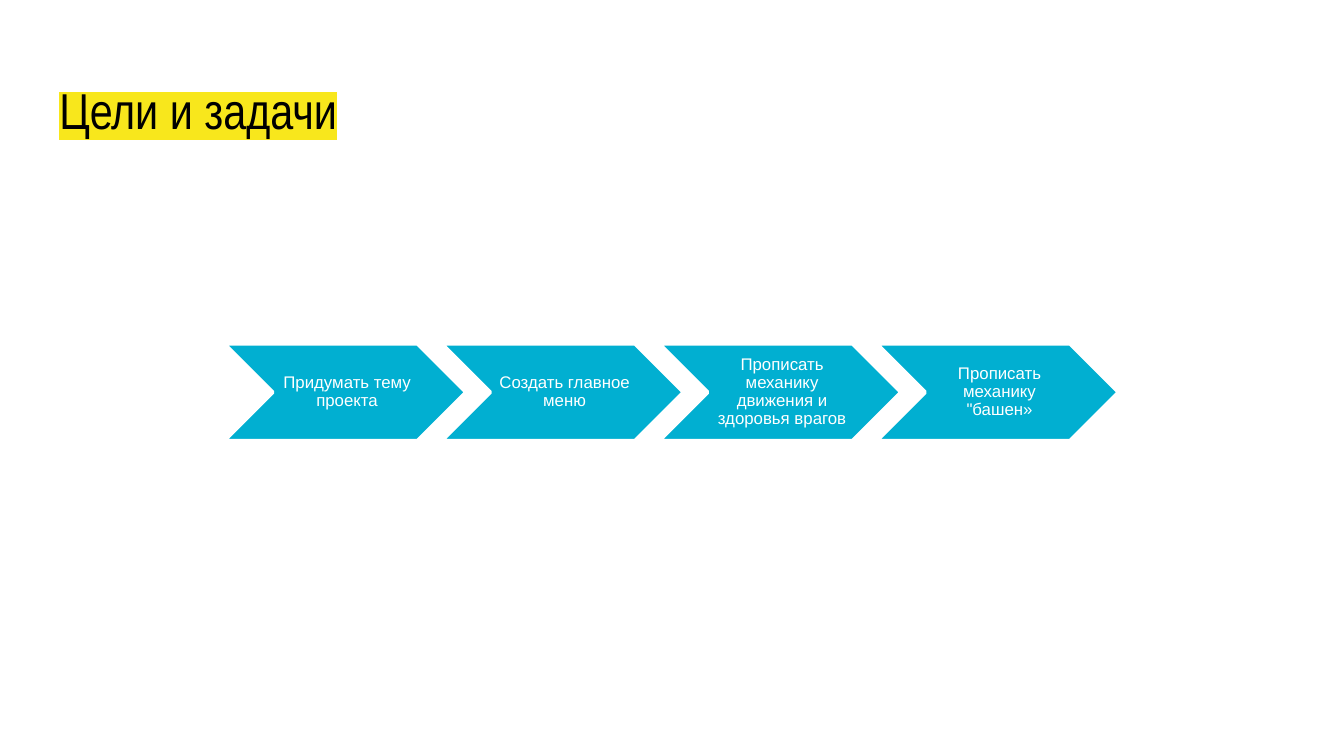
from dataclasses import dataclass

from lxml.etree import SubElement
from pptx import Presentation
from pptx.dml.color import RGBColor
from pptx.enum.shapes import MSO_SHAPE
from pptx.enum.text import MSO_ANCHOR, MSO_AUTO_SIZE, PP_ALIGN
from pptx.oxml.ns import qn
from pptx.util import Cm, Pt


@dataclass(frozen=True)
class Theme:
    black: RGBColor = RGBColor(0x00, 0x00, 0x00)
    white: RGBColor = RGBColor(0xFF, 0xFF, 0xFF)
    step_fill: RGBColor = RGBColor(0x01, 0xAF, 0xD1)
    highlight: str = "F8E71C"
    title_font: str = "Arial Narrow"
    step_font: str = "Arial"
    title_size: Pt = Pt(27)
    step_size: Pt = Pt(9)
    outline: Pt = Pt(2)


def apply_format(target, values):
    for name, value in values.items():
        setattr(target, name, value)


def write_text(box, text, color, frame_format, para_format, font_format):
    apply_format(box.text_frame, frame_format)
    para = box.text_frame.paragraphs[0]
    apply_format(para, para_format)
    span = para.add_run()
    span.text = text
    apply_format(span.font, font_format)
    span.font.color.rgb = color
    return span


theme = Theme()
deck = Presentation()
deck.slide_width, deck.slide_height = Cm(25.4), Cm(14.29)
page = deck.slides.add_slide(deck.slide_layouts[5])

# Highlighted title
title = page.shapes.title
apply_format(title, {"left": Cm(0.87), "top": Cm(1.24),
                     "width": Cm(23.67), "height": Cm(1.59)})
margin = Cm(0.25)
span = write_text(
    title, "Цели и задачи", theme.black,
    {"margin_left": margin, "margin_top": margin, "margin_right": margin,
     "margin_bottom": margin, "vertical_anchor": MSO_ANCHOR.TOP,
     "auto_size": MSO_AUTO_SIZE.NONE, "word_wrap": True},
    {"alignment": PP_ALIGN.LEFT},
    {"name": theme.title_font, "size": theme.title_size},
)
properties = span.font.fill._xPr
highlight = SubElement(properties, qn("a:highlight"))
SubElement(highlight, qn("a:srgbClr"), val=theme.highlight)
properties.find(qn("a:solidFill")).addnext(highlight)

# Row of project steps
steps = [
    "Придумать тему проекта",
    "Создать главное меню",
    "Прописать механику движения и здоровья врагов",
    'Прописать механику "башен»',
]
row_left, row_top = Cm(4.24), Cm(6.5)
step_width, step_height, step_pitch = Cm(4.57), Cm(1.83), Cm(4.11)
for index, text in enumerate(steps):
    step = page.shapes.add_shape(
        MSO_SHAPE.CHEVRON, row_left + index * step_pitch, row_top,
        step_width, step_height)
    step.shadow.inherit = False
    step.fill.solid()
    step.fill.fore_color.rgb = theme.step_fill
    step.line.color.rgb = theme.white
    step.line.width = theme.outline
    write_text(
        step, text, theme.white,
        {"margin_left": Cm(0.1), "margin_top": Cm(0.03),
         "margin_right": Cm(0.03), "margin_bottom": Cm(0.03),
         "vertical_anchor": MSO_ANCHOR.MIDDLE, "word_wrap": True},
        {"alignment": PP_ALIGN.CENTER, "line_spacing": 0.9},
        {"name": theme.step_font, "size": theme.step_size},
    )

deck.save("out.pptx")
